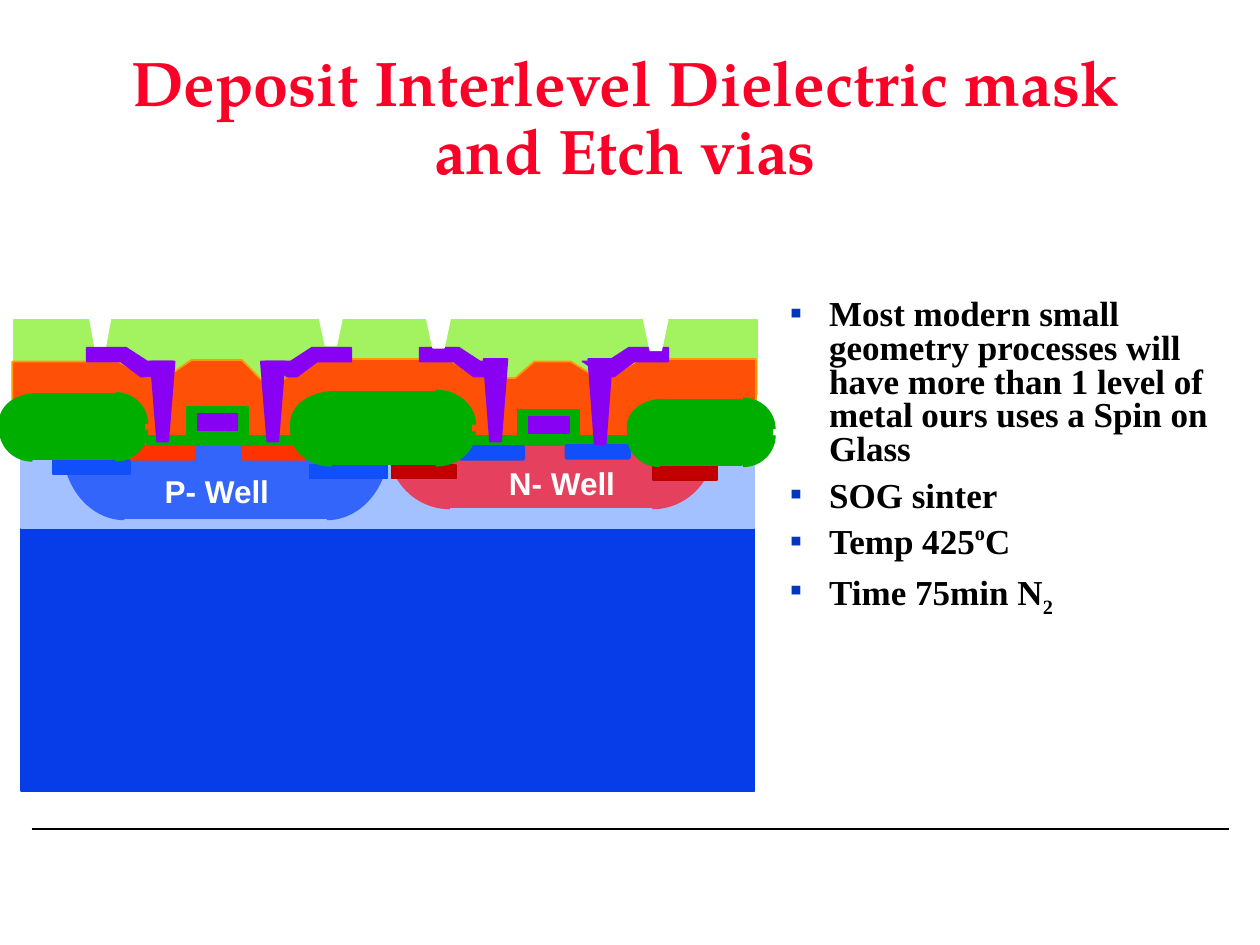
from collections import namedtuple

from lxml.etree import SubElement
from pptx import Presentation
from pptx.dml.color import RGBColor
from pptx.enum.shapes import MSO_CONNECTOR, MSO_SHAPE
from pptx.enum.text import MSO_ANCHOR, MSO_AUTO_SIZE, PP_ALIGN
from pptx.oxml.ns import qn
from pptx.util import Cm, Pt

COLORS = {
    "title": "FC0128", "text": "000000", "bullet": "0237BC", "white": "FFFFFF",
    "glass": "A3F25F", "dielectric": "FF5008", "dielectric edge": "FE9B03",
    "substrate": "063DE8", "epitaxy": "A2C1FE",
    "p well": "3365FB", "n well": "E5405D",
    "oxide": "00AE00", "metal": "8901F3",
    "p doped": "114FFB", "n doped": "FF3300",
    "n stop": "C20000", "n stop edge": "BA0000",
}
Box = namedtuple("Box", "left top width height")  # centimetres

# Start and end angles of the quarter arcs
BOTTOM_RIGHT, BOTTOM_LEFT, TOP_LEFT, TOP_RIGHT = (0, 90), (90, 180), (180, 270), (270, 0)
ARC_UNIT = 0.6  # one degree as an adjustment value

# Field oxide parts as fractions of its box
OXIDE_ARCS = [
    (BOTTOM_LEFT, (0, 0.09, 0.44, 0.91)), (BOTTOM_RIGHT, (0.57, 0.09, 0.43, 0.91)),
    (TOP_RIGHT, (0.57, 0, 0.43, 0.91)), (TOP_LEFT, (0, 0.02, 0.48, 0.8)),
]
OXIDE_BARS = [(0, 0.41, 0.98, 0.15), (0.22, 0.02, 0.56, 0.96)]

DIELECTRIC = [
    (0.25, 2.64), (0.25, 0.94), (2.39, 0.94), (2.92, 1.24), (3.33, 1.27), (3.86, 0.91),
    (4.88, 0.91), (5.26, 1.3), (5.72, 1.3), (6.25, 0.89), (9.02, 0.89), (9.55, 1.17),
    (9.98, 1.27), (10.39, 1.27), (10.77, 0.94), (11.51, 0.94), (11.99, 1.24),
    (12.37, 1.22), (12.9, 0.89), (15.24, 0.89), (15.24, 2.79), (15.29, 2.79),
]
STRAP_WIDTH = 1.74
STRAP = [(1.32, 0.58), (1.09, 0.58), (0.69, 0.28), (0, 0.28), (0, 0), (0.79, 0),
         (1.22, 0.28), (STRAP_WIDTH, 0.28)]


def color(name):
    return RGBColor.from_string(COLORS[name])


def inside(box, left, top, width, height):
    return Box(box.left + left, box.top + top, width, height)


def fraction(box, left, top, width, height):
    return inside(box, left * box.width, top * box.height,
                  width * box.width, height * box.height)


def lengths(box):
    return [Cm(value) for value in box]


def place(shape, box):
    shape.left, shape.top, shape.width, shape.height = lengths(box)


def paint(shape, fill, edge=None):
    shape.shadow.inherit = False
    shape.fill.solid()
    shape.fill.fore_color.rgb = color(fill)
    shape.line.color.rgb = color(edge or fill)
    shape.line.width = Pt(1)


def add_block(shapes, box, fill, edge=None, kind=MSO_SHAPE.RECTANGLE, adjust=()):
    block = shapes.add_shape(kind, *lengths(box))
    for index, value in enumerate(adjust):
        block.adjustments[index] = value
    paint(block, fill, edge)


def add_quarter(shapes, box, fill, angles):
    add_block(shapes, box, fill, kind=MSO_SHAPE.ARC,
              adjust=[angle * ARC_UNIT for angle in angles])


def add_outline(shapes, box, points, fill, edge=None, close=True):
    corners = [(Cm(box.left + x), Cm(box.top + y)) for x, y in points]
    builder = shapes.build_freeform(*corners[0])
    builder.add_line_segments(corners[1:], close=close)
    paint(builder.convert_to_shape(), fill, edge)


def add_text(para, text, font="Times New Roman", size=20, ink="text", baseline=None):
    span = para.add_run()
    span.text = text
    span.font.name, span.font.size, span.font.bold = font, Pt(size), True
    span.font.color.rgb = color(ink)
    if baseline:
        span._r.get_or_add_rPr().set("baseline", str(baseline))


def add_bullet(para, indent):
    properties = para._p.get_or_add_pPr()
    properties.set("marL", str(Cm(indent)))
    properties.set("indent", str(-Cm(indent)))
    ink = SubElement(properties, qn("a:buClr"))
    SubElement(ink, qn("a:srgbClr")).set("val", COLORS["bullet"])
    SubElement(properties, qn("a:buChar")).set("char", "▪")


def fill_title(title, box):
    place(title, box)
    frame = title.text_frame
    frame.auto_size = MSO_AUTO_SIZE.NONE
    frame.vertical_anchor = MSO_ANCHOR.MIDDLE
    para = frame.paragraphs[0]
    para.alignment, para.line_spacing = PP_ALIGN.CENTER, 0.9
    add_text(para, "Deposit Interlevel Dielectric mask and Etch vias",
             font="TeX Gyre Pagella", size=36, ink="title")


def fill_list(body, box):
    place(body, box)
    frame = body.text_frame
    frame.auto_size = MSO_AUTO_SIZE.NONE
    items = [
        [("Most modern small geometry processes will have more than 1 level of "
          "metal ours uses a Spin on Glass", None)],
        [("SOG sinter", None)],
        [("Temp 425", None), ("o", 40000), ("C", None)],
        [("Time 75min N", None), ("2", -25000)],
    ]
    for index, spans in enumerate(items):
        para = frame.add_paragraph() if index else frame.paragraphs[0]
        add_bullet(para, 0.79)
        para.line_spacing = 0.8
        para.space_before = Pt(7.5 if index else 0)
        for text, baseline in spans:
            add_text(para, text, baseline=baseline)


def draw_well(shapes, box, fill):
    arc = 2.48
    for left, angles in [(0, BOTTOM_LEFT), (box.width - arc, BOTTOM_RIGHT)]:
        add_quarter(shapes, inside(box, left, -box.height, arc, 2 * box.height), fill, angles)
    add_block(shapes, inside(box, 1.2, 0.01, 4.19, box.height - 0.03), fill)


def draw_label(shapes, box, text):
    label = shapes.add_textbox(*lengths(box))
    label.text_frame.word_wrap = False
    add_text(label.text_frame.paragraphs[0], text, font="Arial", size=18, ink="white")


def draw_field_oxide(shapes, box):
    for angles, part in OXIDE_ARCS:
        add_quarter(shapes, fraction(box, *part), "oxide", angles)
    for part in OXIDE_BARS:
        add_block(shapes, fraction(box, *part), "oxide")


def draw_gate(shapes, box):
    add_block(shapes, box, "oxide")
    add_block(shapes, inside(box, 0.22, 0.15, 0.81, 0.33), "metal")


def draw_plug(shapes, box, fill):
    inset = 0.13
    points = [(0, 0), (box.width, 0), (box.width - inset, box.height), (inset, box.height)]
    add_outline(shapes, box, points, fill)


def draw_cross_section(shapes, box):
    # Glass, dielectric and silicon layers
    add_block(shapes, inside(box, 0.28, 0.1, 14.99, 1.5), "glass")
    add_outline(shapes, box, DIELECTRIC, "dielectric", "dielectric edge", close=False)
    for fill, height in [("substrate", 6.96), ("epitaxy", 1.65)]:
        add_block(shapes, inside(box, 0.43, 2.64, 14.78, height), fill)
    # Wells
    draw_well(shapes, inside(box, 7.83, 2.63, 6.56, 1.27), "n well")
    draw_well(shapes, inside(box, 1.27, 2.63, 6.56, 1.49), "p well")
    draw_label(shapes, inside(box, 3.07, 3.05, 2.64, 1.02), "P- Well")
    draw_label(shapes, inside(box, 10.01, 2.87, 2.64, 1.02), "N- Well")
    # Thin oxide, channel stops, gates, sources and drains
    for left in (2.97, 9.55):
        add_block(shapes, inside(box, left, 2.44, 3.15, 0.18), "oxide")
    for left, top in [(6.25, 3.02), (1.07, 2.92)]:
        add_block(shapes, inside(box, left, top, 1.55, 0.28), "p doped")
    for left, top in [(7.9, 3.02), (13.16, 3.05)]:
        add_block(shapes, inside(box, left, top, 1.3, 0.28), "n stop", "n stop edge")
    for left, top in [(3.76, 1.85), (10.44, 1.91)]:
        draw_gate(shapes, inside(box, left, top, 1.24, 0.66))
    for left, top, fill in [(9.27, 2.64, "p doped"), (11.4, 2.62, "p doped"),
                            (2.62, 2.64, "n doped"), (4.88, 2.64, "n doped")]:
        add_block(shapes, inside(box, left, top, 1.3, 0.28), fill,
                  kind=MSO_SHAPE.ROUNDED_RECTANGLE, adjust=[0.125])
    # Left and middle field oxide
    draw_field_oxide(shapes, inside(box, 0, 1.57, 2.97, 1.37))
    draw_field_oxide(shapes, inside(box, 5.87, 1.52, 3.71, 1.52))
    # Metal contacts, straps and etched vias
    for left, top, height in [(3.04, 0.94, 1.61), (5.26, 0.94, 1.61),
                              (9.75, 0.89, 1.66), (11.86, 0.89, 1.71)]:
        draw_plug(shapes, inside(box, left, top, 0.48, height), "metal")
    for left, top, width, height in [(1.8, 0, 0.44, 0.71), (6.43, 0, 0.48, 0.61)]:
        draw_plug(shapes, inside(box, left, top, width, height), "white")
    mirrored = [(STRAP_WIDTH - x, y) for x, y in STRAP]
    for left, points in [(1.75, STRAP), (5.34, mirrored), (8.46, STRAP), (11.73, mirrored)]:
        add_outline(shapes, inside(box, left, 0.66, STRAP_WIDTH, 0.58), points,
                    "metal", close=False)
    for left, top in [(8.6, 0.05), (12.98, 0.1)]:
        draw_plug(shapes, inside(box, left, top, 0.48, 0.61), "white")
    # Right field oxide
    draw_field_oxide(shapes, inside(box, 12.65, 1.68, 2.97, 1.37))


def draw_rule(shapes, box):
    rule = shapes.add_connector(MSO_CONNECTOR.STRAIGHT, Cm(box.left), Cm(box.top),
                                Cm(box.left + box.width), Cm(box.top + box.height))
    rule.line.color.rgb = color("text")
    rule.line.width = Pt(1)
    SubElement(rule._element.spPr, qn("a:effectLst"))


def main():
    deck = Presentation()
    deck.slide_width, deck.slide_height = Cm(25.4), Cm(19.05)
    page = deck.slides.add_slide(deck.slide_layouts[1])
    draw_rule(page.shapes, Box(0.64, 16.71, 24.13, 0))
    fill_title(page.shapes.title, Box(1.27, 0.84, 22.66, 3.18))
    fill_list(page.placeholders[1], Box(15.67, 5.92, 9.09, 6.93))
    draw_cross_section(page.shapes.add_group_shape().shapes, Box(0, 6.35, 15.62, 9.6))
    deck.save("out.pptx")


if __name__ == "__main__":
    main()
